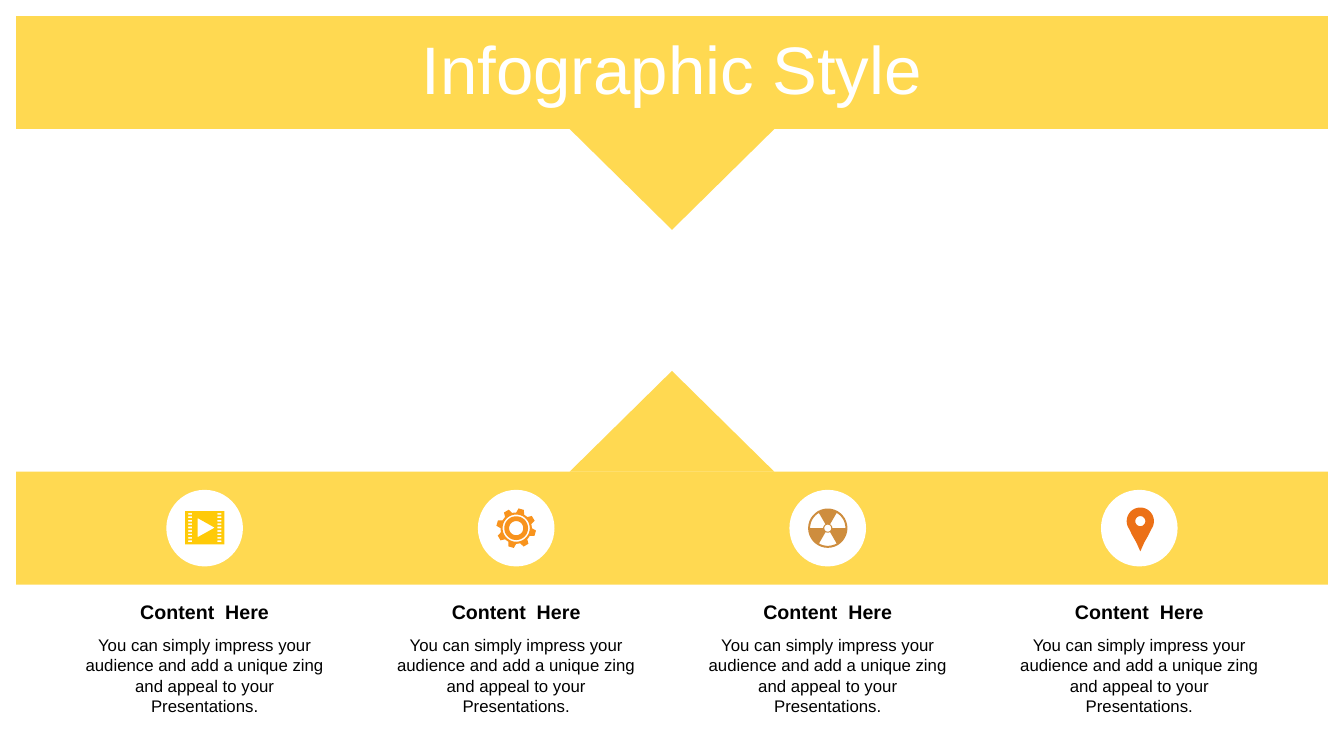
from dataclasses import dataclass
from math import cos, radians, sin

from lxml.etree import SubElement
from pptx import Presentation
from pptx.dml.color import RGBColor
from pptx.enum.shapes import MSO_SHAPE as Shape
from pptx.enum.text import MSO_ANCHOR as Anchor, PP_ALIGN as Align
from pptx.oxml.ns import qn
from pptx.util import Inches, Pt


@dataclass(frozen=True)
class Theme:
    """Colours, type sizes and font of the slide."""
    font: str = "Arial"
    title: int = 48
    heading: int = 14
    body: int = 12
    gold: str = "FFCA08"
    orange: str = "F8931D"
    bronze: str = "CE8D3E"
    rust: str = "EC7016"
    white: str = "FFFFFF"
    black: str = "000000"
    band_alpha: int = 70


THEME = Theme()
WIDTH, HEIGHT = 13.33, 7.5
MARGIN = 0.16
BAND_H = 1.12
LOWER_BAND_Y = 4.68
ARROW_W, ARROW_H = 2.03, 1.0
COLUMN_X, COLUMN_PITCH, COLUMN_W = 0.72, 3.09, 2.62
BADGE = 0.76
HEADING_Y, HEADING_H = 1.22, 0.34
BODY_Y, BODY_H = 1.57, 0.91
UNITS = 1000


def paint(sp, color, alpha=None):
    """Give a shape a plain fill with no line or shadow."""
    sp.shadow.inherit = False
    sp.line.fill.background()
    sp.fill.solid()
    sp.fill.fore_color.rgb = RGBColor.from_string(color)
    if alpha is not None:
        clr = sp._element.spPr.find(qn("a:solidFill"))[0]
        SubElement(clr, qn("a:alpha")).set("val", str(alpha * 1000))


def add_preset(s, kind, x, y, w, h, color, alpha=None, rotation=0):
    """Add a painted preset shape."""
    sp = s.shapes.add_shape(kind, Inches(x), Inches(y), Inches(w), Inches(h))
    sp.rotation = rotation
    paint(sp, color, alpha)


def write(sp, text, size, color=THEME.black, bold=False, anchor=Anchor.TOP, spacing=None):
    """Write one centred paragraph into a shape."""
    tf = sp.text_frame
    tf.word_wrap = True
    tf.vertical_anchor = anchor
    p = tf.paragraphs[0]
    p.alignment = Align.CENTER
    p.line_spacing = spacing
    r = p.add_run()
    r.text = text
    r.font.name = THEME.font
    r.font.size = Pt(size)
    r.font.bold = bold
    r.font.color.rgb = RGBColor.from_string(color)


def add_label(s, x, y, w, h, text, **fmt):
    """Add a text box with formatted text."""
    sp = s.shapes.add_textbox(Inches(x), Inches(y), Inches(w), Inches(h))
    write(sp, text, **fmt)


def arc(radius, start=0, end=360, cx=0, cy=0, steps=36):
    """Return points along an arc, angles in degrees clockwise from the right."""
    angles = [radians(start + (end - start) * i / steps) for i in range(steps + 1)]
    return [(cx + radius * cos(a), cy + radius * sin(a)) for a in angles]


def rect(x, y, w, h):
    """Return the corners of a rectangle."""
    return [(x, y), (x + w, y), (x + w, y + h), (x, y + h)]


def film_icon():
    """Return the outlines of a film frame with a play mark."""
    holes = [rect(x, -0.15 + 0.034 * row, 0.04, 0.016)
             for x in (-0.165, 0.125) for row in range(9)]
    play = [(-0.07, -0.1), (-0.07, 0.09), (0.1, -0.005)]
    return [rect(-0.195, -0.17, 0.39, 0.33), play, *holes]


def gear_icon():
    """Return the outlines of a gear with eight teeth."""
    teeth = []
    for angle in range(-75, 285, 45):
        teeth += arc(0.155, angle - 30, angle - 15, steps=4)
        teeth += arc(0.197, angle - 8, angle + 8, steps=1)
    return [teeth, arc(0.135), arc(0.118), arc(0.07)]


def radiation_icon():
    """Return the outlines of a three-bladed radiation sign."""
    gaps = [arc(0.175, a - 30, a + 30) + arc(0.045, a + 30, a - 30)
            for a in (-30, 90, 210)]
    return [arc(0.195), *gaps, arc(0.035)]


def pin_icon():
    """Return the outlines of a map pin."""
    head = arc(0.135, -215, 35, cx=0.01, cy=-0.07)
    tail = [(0.09, 0.07), (0.05, 0.14), (0.01, 0.23), (-0.03, 0.14), (-0.07, 0.07)]
    return [head + tail, arc(0.05, cx=0.01, cy=-0.07)]


def add_icon(s, cx, cy, outlines, color):
    """Draw outlines as one shape around a centre point."""
    scaled = [[(round(x * UNITS), round(y * UNITS)) for x, y in o] for o in outlines]
    builder = s.shapes.build_freeform(*scaled[0][0], scale=Inches(1) / UNITS)
    for i, points in enumerate(scaled):
        if i:
            builder.move_to(*points[0])
        builder.add_line_segments(points[1:], close=True)
    paint(builder.convert_to_shape(Inches(cx), Inches(cy)), color)


def add_band(s, x, y, w, h, points_down):
    """Add a band with a triangle at the middle of its inner edge."""
    add_preset(s, Shape.RECTANGLE, x, y, w, h, THEME.gold, THEME.band_alpha)
    arrow_y = y + h if points_down else y - ARROW_H
    add_preset(s, Shape.ISOSCELES_TRIANGLE, x + (w - ARROW_W) / 2, arrow_y,
               ARROW_W, ARROW_H, THEME.gold, THEME.band_alpha,
               rotation=180 if points_down else 0)


def add_title(s, x, y, w, h, text):
    """Place the title in front of the bands."""
    sp = s.shapes.title
    s.shapes._spTree.append(sp._element)
    sp.left, sp.top, sp.width, sp.height = (Inches(v) for v in (x, y, w, h))
    write(sp, text, THEME.title, color=THEME.white, anchor=Anchor.MIDDLE, spacing=0.9)


def add_column(s, x, y, w, outlines, color, heading, body):
    """Add a badge on the band with its heading and body below."""
    cx, cy = x + w / 2, y + BAND_H / 2
    add_preset(s, Shape.OVAL, cx - BADGE / 2, cy - BADGE / 2, BADGE, BADGE, THEME.white)
    add_icon(s, cx, cy, outlines, color)
    add_label(s, x, y + HEADING_Y, w, HEADING_H, heading,
              size=THEME.heading, bold=True, anchor=Anchor.MIDDLE)
    add_label(s, x, y + BODY_Y, w, BODY_H, body, size=THEME.body)


def main():
    """Build the slide and save it."""
    prs = Presentation()
    prs.slide_width, prs.slide_height = Inches(WIDTH), Inches(HEIGHT)
    s = prs.slides.add_slide(prs.slide_layouts[5])
    band_w = WIDTH - 2 * MARGIN
    add_band(s, MARGIN, MARGIN, band_w, BAND_H, points_down=True)
    add_band(s, MARGIN, LOWER_BAND_Y, band_w, BAND_H, points_down=False)
    add_title(s, 0, 0.33, WIDTH, 0.78, "Infographic Style")
    icons = [(film_icon(), THEME.gold), (gear_icon(), THEME.orange),
             (radiation_icon(), THEME.bronze), (pin_icon(), THEME.rust)]
    for i, (outlines, color) in enumerate(icons):
        add_column(s, COLUMN_X + i * COLUMN_PITCH, LOWER_BAND_Y, COLUMN_W,
                   outlines, color, "Content  Here",
                   "You can simply impress your audience and add a unique zing "
                   "and appeal to your Presentations.")
    prs.save("out.pptx")


if __name__ == "__main__":
    main()
